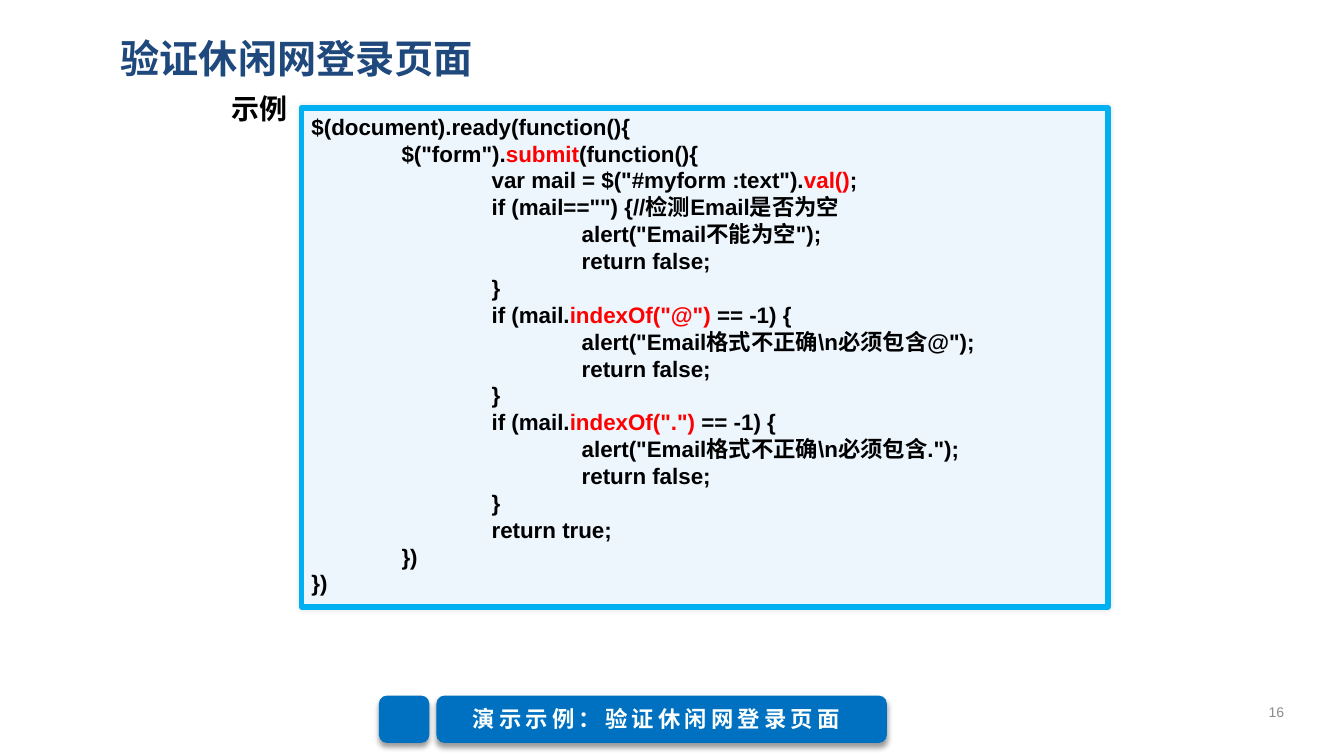
from lxml import etree
from pptx import Presentation
from pptx.dml.color import RGBColor
from pptx.enum.shapes import MSO_SHAPE
from pptx.enum.text import MSO_ANCHOR, PP_ALIGN
from pptx.oxml.ns import qn
from pptx.util import Cm, Pt

ROUNDED = MSO_SHAPE.ROUNDED_RECTANGLE
TOP, MIDDLE = MSO_ANCHOR.TOP, MSO_ANCHOR.MIDDLE
LEFT, CENTER = PP_ALIGN.LEFT, PP_ALIGN.CENTER

NAVY = RGBColor(0x1F, 0x49, 0x7D)
BLACK = RGBColor(0, 0, 0)
RED = RGBColor(0xFF, 0, 0)
PALE_BLUE = RGBColor(0xED, 0xF5, 0xFD)
CYAN = RGBColor(0, 0xB0, 0xF0)
BLUE = RGBColor(0, 0x70, 0xC0)
NEAR_WHITE = RGBColor(0xFB, 0xFF, 0xFE)
GREY = RGBColor(0x8C, 0x8C, 0x8C)

LATIN_FONT = "Arial"
CHINESE_FONT = "Noto Sans CJK SC"
TAB_STEP = Cm(2.27)

CODE_LINES = [
    (0, ["$(document).ready(function(){"]),
    (1, ['$("form").', "submit", "(function(){"]),
    (2, ['var mail = $("#myform :text").', "val()", ";"]),
    (2, ['if (mail=="") {//检测Email是否为空']),
    (3, ['alert("Email不能为空");']),
    (3, ["return false;"]),
    (2, ["}"]),
    (2, ["if (mail.", 'indexOf("@")', " == -1) {"]),
    (3, ['alert("Email格式不正确\\n必须包含@");']),
    (3, ["return false;"]),
    (2, ["}"]),
    (2, ["if (mail.", 'indexOf(".")', " == -1) {"]),
    (3, ['alert("Email格式不正确\\n必须包含.");']),
    (3, ["return false;"]),
    (2, ["}"]),
    (2, ["return true;"]),
    (1, ["})"]),
    (0, ["})"]),
]


def add_shadow(effects, opacity, blur, distance, direction):
    shadow = etree.SubElement(
        effects, qn("a:outerShdw"), blurRad=str(Pt(blur)), dist=str(Pt(distance)),
        dir=str(direction * 60000), algn="ctr", rotWithShape="0")
    color = etree.SubElement(shadow, qn("a:srgbClr"), val=str(BLACK))
    etree.SubElement(color, qn("a:alpha"), val=str(opacity * 1000))


def add_run(paragraph, text, size=16, font=CHINESE_FONT, color=BLACK,
            bold=True, spacing=0, shadow=None):
    run = paragraph.add_run()
    run.text = text
    run.font.size = Pt(size)
    run.font.bold = bold
    run.font.color.rgb = color
    properties = run.font._element
    if spacing:
        properties.set("spc", str(spacing * 100))
    if shadow:
        add_shadow(etree.SubElement(properties, qn("a:effectLst")), *shadow)
    run.font.name = font
    etree.SubElement(properties, qn("a:ea"), typeface=CHINESE_FONT)


def add_label(slide, text, left, top, width, height, align=LEFT,
              anchor=MIDDLE, wrap=True, **text_format):
    label = slide.shapes.add_textbox(Cm(left), Cm(top), Cm(width), Cm(height))
    frame = label.text_frame
    frame.word_wrap = wrap
    frame.vertical_anchor = anchor
    frame.paragraphs[0].alignment = align
    add_run(frame.paragraphs[0], text, **text_format)


def add_panel(slide, left, top, width, height, fill, shadow, border=None):
    panel = slide.shapes.add_shape(ROUNDED, Cm(left), Cm(top), Cm(width), Cm(height))
    panel.fill.solid()
    panel.fill.fore_color.rgb = fill
    if border:
        panel.line.color.rgb = border
        panel.line.width = Pt(4)
    else:
        panel.line.fill.background()
    panel.shadow.inherit = False
    add_shadow(panel._element.spPr.find(qn("a:effectLst")), *shadow)
    return panel


def add_code(panel):
    panel.adjustments[0] = 0
    frame = panel.text_frame
    frame.word_wrap = True
    frame.vertical_anchor = TOP
    for number, (depth, parts) in enumerate(CODE_LINES):
        line = frame.add_paragraph() if number else frame.paragraphs[0]
        line.alignment = LEFT
        line.line_spacing = Pt(19.2)
        tabs = etree.SubElement(line._p.get_or_add_pPr(), qn("a:tabLst"))
        for stop in range(1, depth + 1):
            etree.SubElement(tabs, qn("a:tab"), pos=str(stop * TAB_STEP), algn="l")
        for position, part in enumerate(parts):
            indent = "" if position else "\t" * depth
            add_run(line, indent + part, font=LATIN_FONT,
                    color=RED if position == 1 else BLACK)


def main():
    presentation = Presentation()
    presentation.slide_width, presentation.slide_height = Cm(33.87), Cm(19.05)
    slide = presentation.slides.add_slide(presentation.slide_layouts[6])

    add_label(slide, "验证休闲网登录页面", 2.79, 0.61, 29.6, 1.7, size=28, color=NAVY)
    add_code(add_panel(slide, 7.6, 2.72, 20.32, 12.57, PALE_BLUE, (10, 3, 0, 0), CYAN))
    add_label(slide, "示例", 5.59, 2.16, 1.96, 1.12, wrap=False, size=20,
              shadow=(40, 3, 3, 45))

    for left, width in ((9.55, 1.27), (11, 11.35)):
        add_panel(slide, left, 17.53, width, 1.19, BLUE, (40, 4, 3, 90))
    add_label(slide, "演示示例：验证休闲网登录页面", 10.77, 17.65, 11.56, 0.94,
              align=CENTER, anchor=TOP, color=NEAR_WHITE, spacing=3)
    add_label(slide, "16", 31.34, 17.42, 1.65, 1.02, align=CENTER,
              size=10, font=LATIN_FONT, color=GREY, bold=False)

    presentation.save("out.pptx")


if __name__ == "__main__":
    main()
